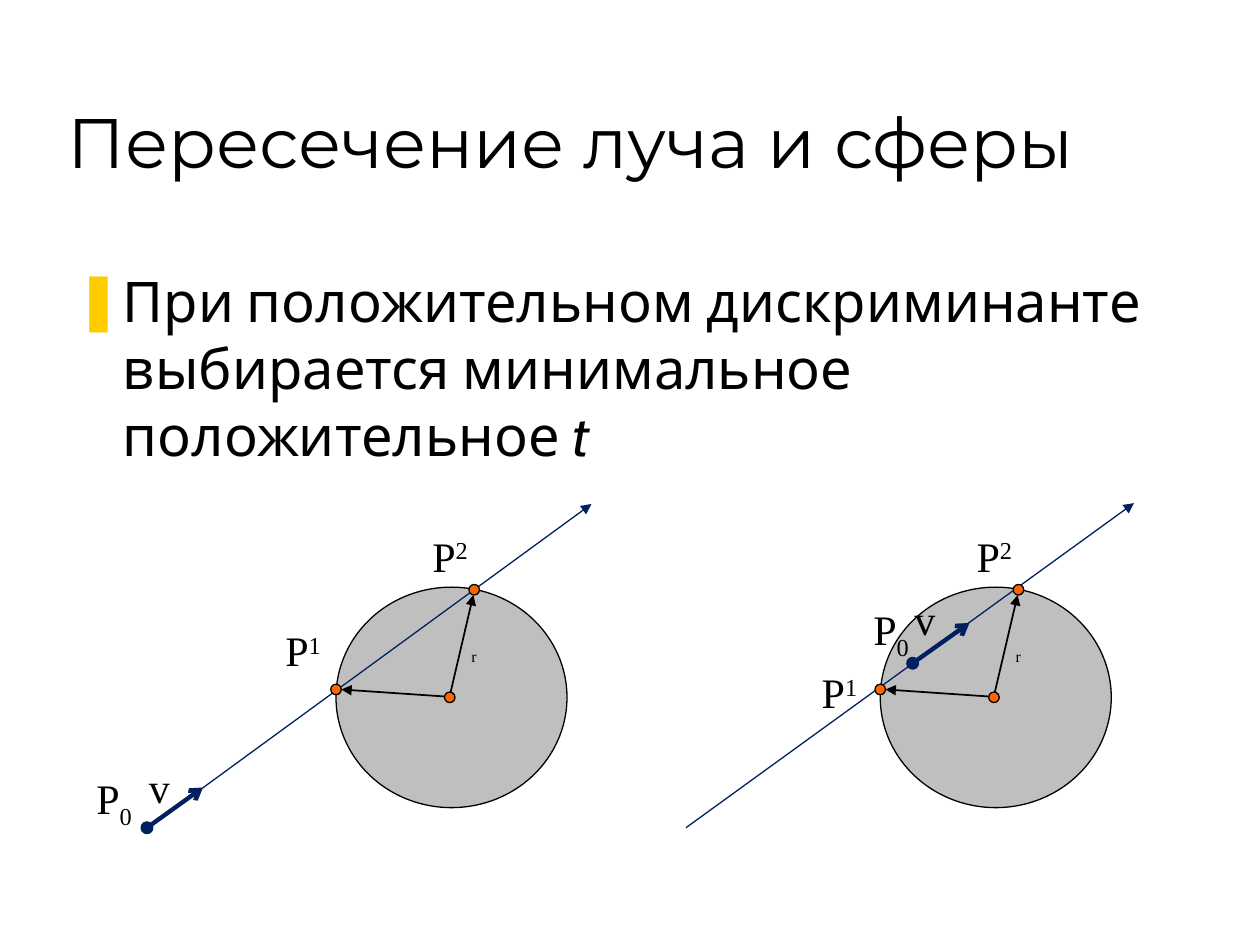
from dataclasses import dataclass

from lxml import etree
from pptx import Presentation
from pptx.dml.color import RGBColor as RGB
from pptx.enum.shapes import MSO_CONNECTOR as LINE, MSO_SHAPE as SHAPE
from pptx.enum.text import MSO_ANCHOR as ANCHOR, PP_ALIGN as ALIGN
from pptx.oxml.ns import qn
from pptx.util import Pt


@dataclass(frozen=True)
class Theme:
    ink: RGB = RGB(0, 0, 0)
    ray: RGB = RGB(0x00, 0x20, 0x60)
    sphere: RGB = RGB(0xBF, 0xBF, 0xBF)
    point: RGB = RGB(0xFF, 0x66, 0x00)
    bullet: str = "FFCC00"
    title_size: int = 40
    body_size: int = 32
    label_size: int = 24
    radius_size: int = 9
    title_font: str = "Montserrat"
    body_font: str = "Cabin"
    label_font: str = "Times New Roman"


theme = Theme()


def add_line(shapes, start, end, color, width, **arrowheads):
    """Draw a line; arrowheads maps headEnd / tailEnd to an arrow type."""
    line = shapes.add_connector(LINE.STRAIGHT, *(Pt(v) for v in (*start, *end)))
    line.line.color.rgb = color
    line.line.width = Pt(width)
    outline = line.line._get_or_add_ln()
    for tag, kind in arrowheads.items():
        etree.SubElement(outline, qn(f"a:{tag}"), type=kind)
    etree.SubElement(line._element.spPr, qn("a:effectLst"))


def add_circle(shapes, left, top, width, height, color):
    circle = shapes.add_shape(SHAPE.OVAL, Pt(left), Pt(top), Pt(width), Pt(height))
    circle.shadow.inherit = False
    circle.fill.solid()
    circle.fill.fore_color.rgb = color
    circle.line.color.rgb = theme.ink
    circle.line.width = Pt(0.75)


prs = Presentation()
prs.slide_width, prs.slide_height = Pt(720), Pt(540)
slide = prs.slides.add_slide(prs.slide_layouts[1])

title = slide.shapes.title
title.left, title.top, title.width, title.height = Pt(31.5), Pt(18), Pt(612), Pt(90)
title.text_frame.vertical_anchor = ANCHOR.BOTTOM
heading = title.text_frame.paragraphs[0]
heading.text = "Пересечение луча и сферы"
heading.alignment = ALIGN.LEFT
heading.font.size = Pt(theme.title_size)
heading.font.name = theme.title_font
heading.font.color.rgb = theme.ink

body = slide.placeholders[1]
body.left, body.top, body.width, body.height = Pt(36), Pt(148.5), Pt(643.5), Pt(328.5)
rule = body.text_frame.paragraphs[0]
rule.space_before = Pt(0)
rule_format = rule._p.get_or_add_pPr()
rule_format.set("marL", str(Pt(27)))
rule_format.set("indent", str(Pt(-27)))
bullet_color = etree.SubElement(rule_format, qn("a:buClr"))
etree.SubElement(bullet_color, qn("a:srgbClr"), val=theme.bullet)
etree.SubElement(rule_format, qn("a:buChar"), char="❚")
rule.add_run().text = "При положительном дискриминанте выбирается минимальное положительное "
parameter = rule.add_run()
parameter.text = "t"
parameter.font.italic = True
rule.font.size = Pt(theme.body_size)
rule.font.name = theme.body_font
rule.font.color.rgb = theme.ink

# Ray origin outside the sphere, then inside it; P₂ and the radii stay in place.
FIGURE_STEP = 311
CENTER, NEAR, FAR = (257, 398.5), (192, 394), (271, 337)
DOT = 6
figures = [
    dict(ray=((84, 473.5), (338, 288)), vector=((84, 473), (116, 450)),
         p0=(48, 438), v=(78, 431.5), p1=(156, 353.5)),
    dict(ray=((81, 473), (337, 287.5)), vector=((210.5, 379), (243, 356)),
         p0=(181, 341.5), v=(204.5, 335.5), p1=(151.5, 377.5)),
]

for index, figure in enumerate(figures):
    shift = index * FIGURE_STEP
    shapes = slide.shapes.add_group_shape().shapes
    add_circle(shapes, 192 + shift, 335.5, 132, 126, theme.sphere)

    labels = [
        ("P", "1", 30, figure["p1"], 42),
        ("P", "2", 30, (240, 299.5), 42),
        ("P", "0", -25, figure["p0"], 42),
        ("v", "", 0, figure["v"], 30),
        ("r", "", 0, (264, 366), 12.5),
    ]
    for letter, number, baseline, (left, top), width in labels:
        is_radius = letter == "r"
        box = shapes.add_textbox(Pt(left + shift), Pt(top), Pt(width),
                                 Pt(18 if is_radius else 36))
        frame = box.text_frame
        frame.word_wrap = not is_radius
        label = frame.paragraphs[0]
        label.add_run().text = letter
        if number:
            digit = label.add_run()
            digit.text = number
            digit.font._element.set("baseline", str(baseline * 1000))
        if is_radius:
            frame.vertical_anchor = ANCHOR.MIDDLE
            label.alignment = ALIGN.CENTER
        label.font.size = Pt(theme.radius_size if is_radius else theme.label_size)
        label.font.name = theme.label_font
        label.font.color.rgb = theme.ink

    def_lines = [
        (*figure["vector"], theme.ray, 2.5, dict(headEnd="oval", tailEnd="arrow")),
        (*figure["ray"], theme.ray, 0.75, dict(tailEnd="triangle")),
        ((254, 398), (195, 394), theme.ink, 1, dict(tailEnd="triangle")),
        ((257.5, 395.5), (270.5, 340), theme.ink, 1, dict(tailEnd="triangle")),
    ]
    for (x1, y1), (x2, y2), color, width, arrowheads in def_lines:
        add_line(shapes, (x1 + shift, y1), (x2 + shift, y2), color, width, **arrowheads)

    for x, y in (CENTER, NEAR, FAR):
        add_circle(shapes, x + shift - DOT / 2, y - DOT / 2, DOT, DOT, theme.point)

prs.save("out.pptx")
